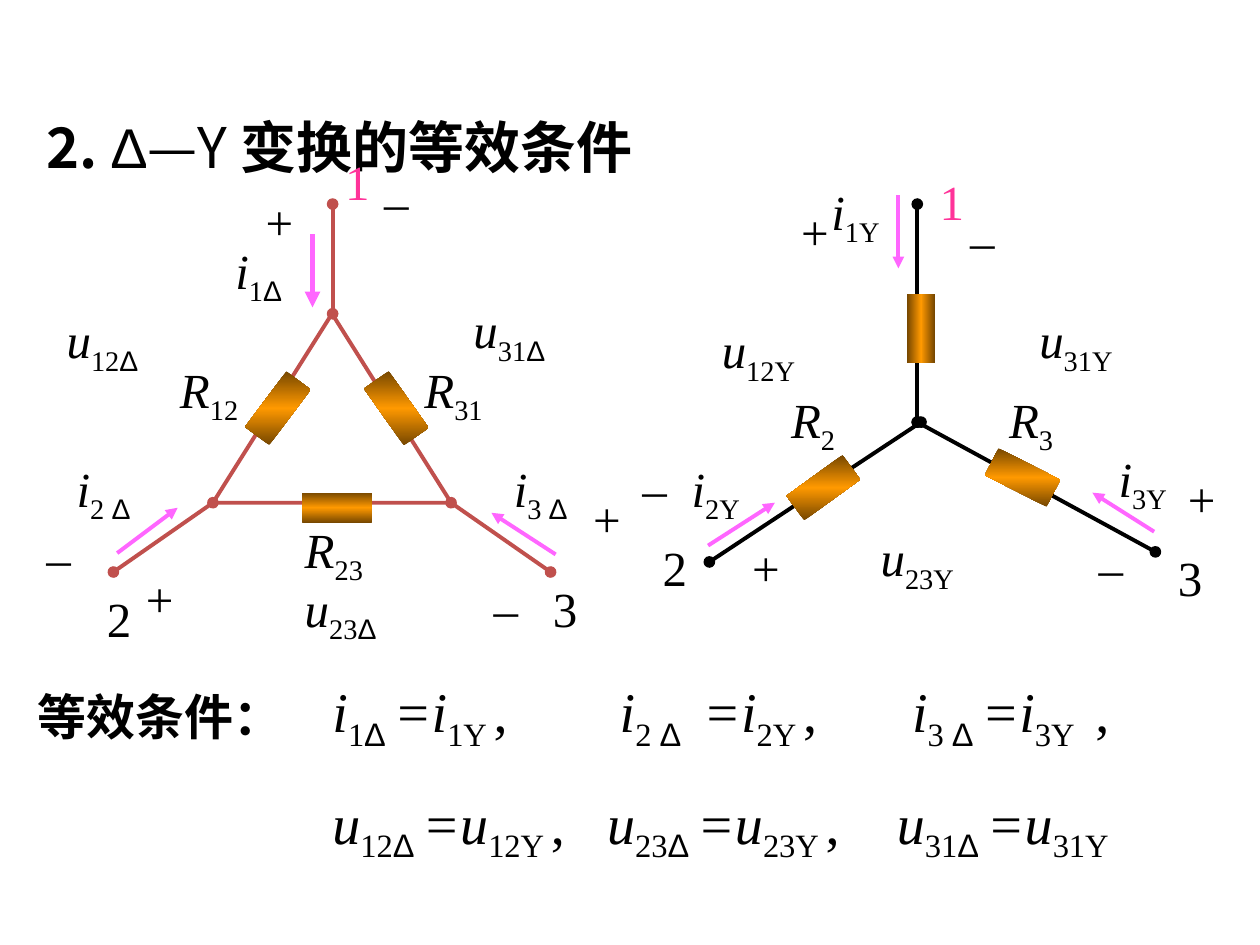
from itertools import groupby

from pptx import Presentation
from pptx.dml.color import RGBColor
from pptx.enum.shapes import MSO_CONNECTOR as Link, MSO_SHAPE as Form
from pptx.oxml import parse_xml
from pptx.oxml.ns import nsdecls, qn
from pptx.oxml.xmlchemy import OxmlElement as Node
from pptx.util import Inches, Pt

INK, RED, PINK, ROSE = "000000", "C0504D", "FF66FF", "FF3399"
SERIF, SANS, HAN = "Times New Roman", "Arial", "Noto Sans CJK SC"
DARK, GOLD = "764700", "FF9900"

DELTA = [
    (2.32, 4.54, 1.1, "u_23Δ"), (3.98, 3.59, 0.72, "i_3 Δ"),
    (0.51, 3.59, 0.75, "i_2 Δ"), (1.77, 1.86, 0.83, "i_1Δ"),
    (2.01, 1.47, 0.42, "+"), (1.06, 4.46, 0.42, "+"), (4.61, 3.83, 0.42, "+"),
    (2.95, 1.31, 0.42, "–"), (0.27, 4.14, 0.42, "–"), (3.82, 4.54, 0.42, "–"),
    (0.43, 2.41, 0.95, "u_12Δ"), (3.66, 2.33, 0.94, "u_31Δ"),
    (1.33, 2.8, 0.92, "R_12"), (3.27, 2.8, 0.8, "R_31"),
    (2.32, 4.07, 0.87, "R_23"), (2.64, 1.15, 0.5, "1"),
    (0.75, 4.62, 0.33, "2"), (4.29, 4.54, 0.42, "3"),
]
STAR = [
    (6.5, 1.39, 0.75, "i_1Y"), (5.39, 3.59, 0.75, "i_2Y"),
    (8.78, 3.51, 0.67, "i_3Y"),
    (6.26, 1.55, 0.42, "+"), (5.87, 4.22, 0.42, "+"), (9.33, 3.67, 0.42, "+"),
    (5, 3.59, 0.42, "–"), (8.62, 4.22, 0.42, "–"), (7.6, 1.62, 0.42, "–"),
    (5.63, 2.49, 1.08, "u_12Y"), (6.89, 4.14, 0.99, "u_23Y"),
    (8.15, 2.41, 1, "u_31Y"),
    (6.18, 3.04, 0.58, "R_2"), (7.91, 3.04, 0.91, "R_3"),
    (7.36, 1.31, 0.33, "1"), (5.16, 4.22, 0.42, "2"), (9.25, 4.3, 0.33, "3"),
]
ARROWS = [
    (2.48, 1.86, 2.48, 2.44, 3), (0.93, 4.39, 1.41, 4.03, 2.25),
    (4.41, 4.4, 3.9, 4.07, 2.25), (7.13, 1.55, 7.13, 2.13, 2.25),
    (5.62, 4.33, 6.15, 3.99, 2.25), (9.16, 4.22, 8.67, 3.91, 2.25),
]
WIRES = [
    (0.9, 4.54, 1.69, 3.99, RED), (4.37, 4.54, 3.58, 3.99, RED),
    (2.64, 2.49, 2.64, 1.62, RED), (7.28, 3.35, 7.28, 1.62, INK),
    (7.31, 3.35, 5.63, 4.46, INK), (9.17, 4.38, 7.28, 3.35, INK),
]
LOADS = [
    (2.87, 3.12, 0.55, 0.24, 54.8), (1.93, 3.12, 0.55, 0.24, 306.8),
    (2.4, 3.91, 0.55, 0.24, 0), (7.2, 2.33, 0.22, 0.55, 0),
    (6.26, 3.75, 0.55, 0.24, 324), (7.84, 3.67, 0.55, 0.24, 27),
]
RULES = [
    ((0.22, 2.5, 4.82),
     ("i_1Δ _=i_1Y _,", "i_2 Δ _ =i_2Y _,", "i_3 Δ _=i_3Y _ ,")),
    ((0.22, 2.4, 4.7),
     ("u_12Δ _=u_12Y _,", "u_23Δ _=u_23Y _,", "u_31Δ _=u_31Y")),
]


def tint(code):
    """Turn a hex string into a colour."""
    return RGBColor.from_string(code)


def style(item, **vals):
    """Set each given value on an object."""
    for key, val in vals.items():
        setattr(item, key, val)


def put(para, text, hue=INK, sub=False, **vals):
    """Add one run with its format."""
    run = para.add_run()
    run.text = text
    style(run.font, **vals)
    run.font.color.rgb = tint(hue)
    if sub:
        run.font._element.set("baseline", "-25000")
    return run


def math(para, text, size, hue=INK):
    """Write a formula in which underscores switch subscripts on and off."""
    for num, part in enumerate(text.split("_")):
        sub = num % 2 == 1
        slant = not sub and any(c.isalpha() for c in part)
        for greek, chars in groupby(part, lambda c: c == "Δ"):
            put(para, "".join(chars), hue, sub, size=Pt(size),
                name=SANS if greek else SERIF, italic=slant)


def box(slide, x, y, w, h):
    """Add a wrapping text box and return its frame."""
    frame = slide.shapes.add_textbox(*map(Inches, (x, y, w, h))).text_frame
    frame.word_wrap = True
    return frame


def label(slide, x, y, w, text):
    """Add a circuit label."""
    frame = box(slide, x, y, w, 0.63 if "_" in text else 0.57)
    math(frame.paragraphs[0], text, 28, ROSE if text == "1" else INK)


def head(slide, x, y, w, h, size, parts):
    """Add a heading made of text, font and bold parts."""
    para = box(slide, x, y, w, h).paragraphs[0]
    for text, face, bold in parts:
        run = put(para, text, size=Pt(size), name=face, bold=bold)
        east = Node("a:ea")
        east.set("typeface", HAN)
        run.font._element.find(qn("a:latin")).addnext(east)


def line(slide, x1, y1, x2, y2, hue, width, **ends):
    """Add a straight line with the given end marks."""
    link = slide.shapes.add_connector(
        Link.STRAIGHT, *map(Inches, (x1, y1, x2, y2)))
    link.line.color.rgb = tint(hue)
    link.line.width = Pt(width)
    for side, mark in ends.items():
        end = Node(f"a:{side}End")
        end.set("type", mark)
        link.line._ln.append(end)
    link._element.spPr.append(Node("a:effectLst"))


def shape(slide, form, x, y, w, h, turn=0):
    """Add a preset shape without shadow."""
    item = slide.shapes.add_shape(form, *map(Inches, (x, y, w, h)))
    item.shadow.inherit = False
    item.rotation = turn
    return item


def load(slide, x, y, w, h, turn):
    """Add a resistor whose sheen keeps its direction on the page."""
    item = shape(slide, Form.RECTANGLE, x, y, w, h, turn)
    item.line.fill.background()
    item.fill.gradient()
    angle = ((90 if w > h else 0) - turn) % 360
    stops = "".join(
        f'<a:gs pos="{pos}"><a:srgbClr val="{hue}"/></a:gs>'
        for pos, hue in ((0, DARK), (50000, GOLD), (100000, DARK)))
    grad = parse_xml(
        f'<a:gradFill {nsdecls("a")} rotWithShape="1"><a:gsLst>{stops}'
        f'</a:gsLst><a:lin ang="{round(angle * 60000)}" scaled="0"/>'
        '</a:gradFill>')
    props = item._element.spPr
    props.replace(props.find(qn("a:gradFill")), grad)


def rules(slide):
    """Add the rows of equations, aligned on tab stops."""
    frame = box(slide, 2.32, 5.32, 7.32, 1.59)
    for num, (stops, cells) in enumerate(RULES):
        para = frame.add_paragraph() if num else frame.paragraphs[0]
        tabs = Node("a:tabLst")
        for stop in stops:
            tab = Node("a:tab")
            tab.set("pos", str(Inches(stop)))
            tab.set("algn", "l")
            tabs.append(tab)
        para._p.get_or_add_pPr().append(tabs)
        if num:
            para.space_before = Pt(20)
        for cell in cells:
            math(para, "\t" + cell, 32)


def main():
    """Build the slide and save it."""
    deck = Presentation()
    style(deck, slide_width=Inches(10), slide_height=Inches(7.5))
    slide = deck.slides.add_slide(deck.slide_layouts[6])
    rules(slide)
    head(slide, 0.27, 0.84, 5.35, 1.17, 32, [
        ("2. ", HAN, True), ("Δ", SANS, False), ("—Y ", HAN, False),
        ("变换的等效条件", HAN, True)])
    head(slide, 0.2, 5.4, 2.36, 0.57, 28, [("等效条件：", SANS, True)])
    for item in DELTA + STAR:
        label(slide, *item)
    for *ends, width in ARROWS:
        line(slide, *ends, PINK, width, tail="triangle")
    loop = shape(slide, Form.ISOSCELES_TRIANGLE, 1.69, 2.49, 1.89, 1.5)
    loop.fill.background()
    loop.line.color.rgb = tint(RED)
    loop.line.width = Pt(2.25)
    for *ends, hue in WIRES:
        line(slide, *ends, hue, 2.25, head="oval", tail="oval")
    for item in LOADS:
        load(slide, *item)
    deck.save("out.pptx")


if __name__ == "__main__":
    main()
